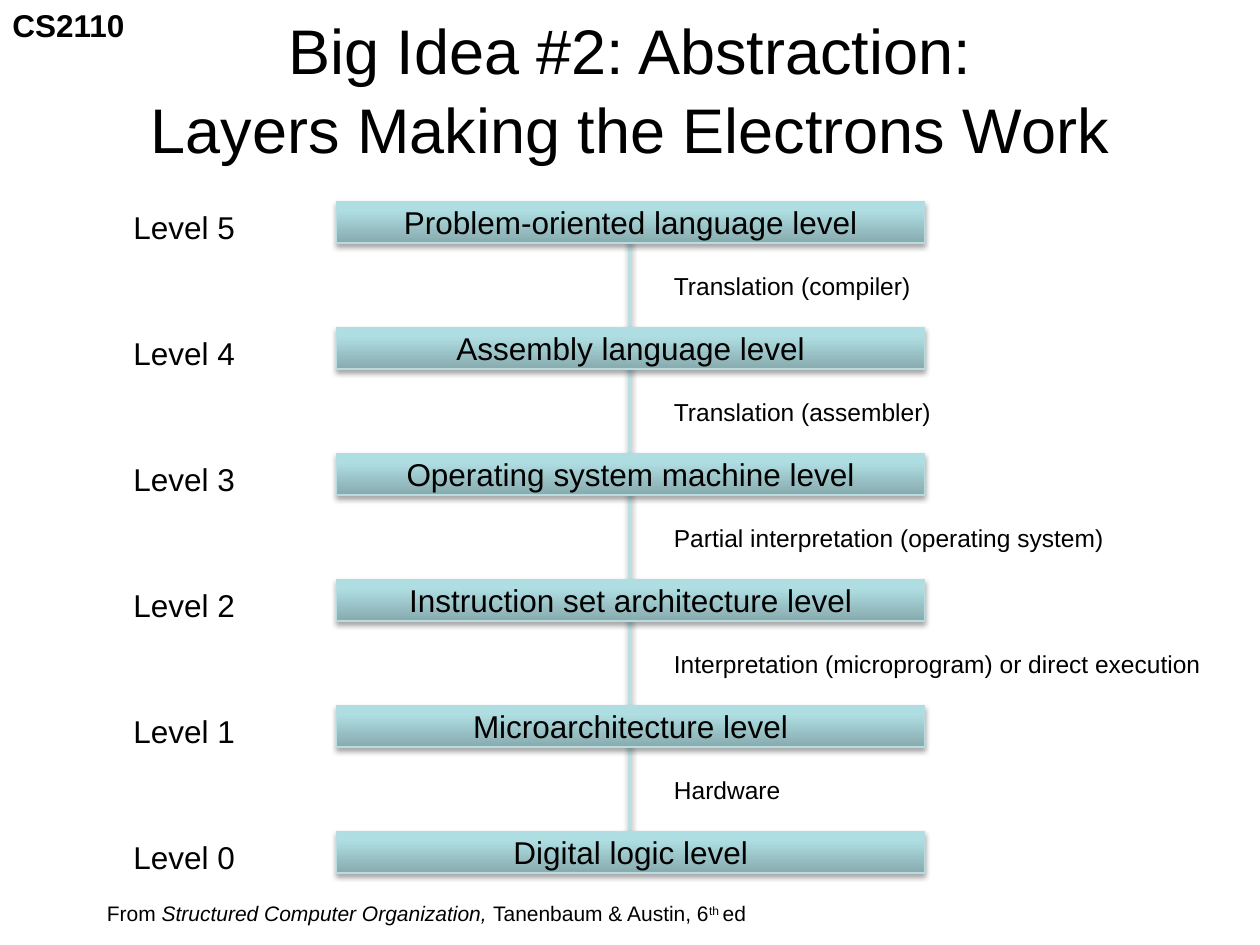
from dataclasses import dataclass
from typing import NamedTuple

from lxml import etree
from pptx import Presentation
from pptx import util as u
from pptx.dml.color import RGBColor
from pptx.enum import shapes, text
from pptx.oxml import parse_xml

NS = "http://schemas.openxmlformats.org/drawingml/2006/main"


@dataclass(frozen=True)
class Theme:
    font: str = "Arial"
    ink: str = "000000"
    line: str = "BBE0E3"
    edge: str = "B6DCDF"
    stops: tuple = ((0, "87ABAE"), (80, "AFDEE2"), (100, "AFE0E4"))
    title: int = 36
    body: int = 18
    note: int = 14
    cite: int = 12


class Box(NamedTuple):
    left: float
    top: float
    width: float
    height: float

    def emu(self) -> list:
        return [u.Inches(v) for v in self]


class Run(NamedTuple):
    words: str
    style: dict = {}
    raised: bool = False


class Level(NamedTuple):
    name: str
    step: str = ""  # how it is carried out by the level below
    room: float = 4.58


LOOK = Theme()
WIDE, HIGH = 10, 7.5

# Grid: one row per level, one inch apart
TOP, ROW = 1.6, 1
TAG_X, BAR_X, STEP_X = 0.96, 2.67, 5.25
BAR_W, BAR_H = 4.67, 0.33

LEVELS = [
    Level("Problem-oriented language level", "Translation (compiler)"),
    Level("Assembly language level", "Translation (assembler)"),
    Level("Operating system machine level",
          "Partial interpretation (operating system)", 4.85),
    Level("Instruction set architecture level",
          "Interpretation (microprogram) or direct execution", 5.08),
    Level("Microarchitecture level", "Hardware"),
    Level("Digital logic level"),
]


def apply(item, style: dict) -> None:
    for key, value in style.items():
        setattr(item, key, value)


def write(shape, runs: list, size: int, frame: dict, para: dict) -> None:
    """Fill a shape with one paragraph of styled runs."""
    body = shape.text_frame
    apply(body, {"word_wrap": True, **frame})
    line = body.paragraphs[0]
    apply(line, para)
    for part in runs:
        for i, words in enumerate(part.words.split("\n")):
            if i:
                line.add_line_break()
            run = line.add_run()
            run.text = words
            apply(run.font, {"name": LOOK.font, "size": u.Pt(size), **part.style})
            run.font.color.rgb = RGBColor.from_string(LOOK.ink)
            if part.raised:
                run.font._element.set("baseline", "30000")


def label(slide, box: Box, runs: list, size: int,
          frame: dict = {}, para: dict = {}) -> None:
    write(slide.shapes.add_textbox(*box.emu()), runs, size, frame, para)


def shade(shape, alpha: int, dist: float) -> None:
    """Give a shape a soft shadow straight below it."""
    shape._element.spPr.append(parse_xml(
        f'<a:effectLst xmlns:a="{NS}"><a:outerShdw blurRad="{u.Pt(3.1)}" '
        f'dist="{u.Pt(dist)}" dir="5400000" rotWithShape="0">'
        f'<a:srgbClr val="{LOOK.ink}"><a:alpha val="{alpha * 1000}"/></a:srgbClr>'
        f'</a:outerShdw></a:effectLst>'))


def blend(shape) -> None:
    """Fill a shape with the theme gradient, from bottom to top."""
    shape.fill.gradient()
    grad = shape._element.spPr.find(f"{{{NS}}}gradFill")
    stops = grad.find(f"{{{NS}}}gsLst")
    for old in list(stops):
        stops.remove(old)
    for place, color in LOOK.stops:
        stop = etree.SubElement(stops, f"{{{NS}}}gs", pos=str(place * 1000))
        etree.SubElement(stop, f"{{{NS}}}srgbClr", val=color)
    grad.find(f"{{{NS}}}lin").set("ang", "16200000")


def edge(shape, color: str, width: float) -> None:
    shape.line.color.rgb = RGBColor.from_string(color)
    shape.line.width = u.Pt(width)


def spine(group) -> None:
    """Draw the line that joins all bars."""
    start = TOP + BAR_H / 2
    end = start + ROW * (len(LEVELS) - 1)
    mid = u.Inches(WIDE / 2)
    line = group.shapes.add_connector(
        shapes.MSO_CONNECTOR.STRAIGHT, mid, u.Inches(start), mid, u.Inches(end))
    edge(line, LOOK.line, 2)
    shade(line, 38, 1.6)


def bar(group, top: float, name: str) -> None:
    box = Box(BAR_X, top, BAR_W, BAR_H)
    rect = group.shapes.add_shape(shapes.MSO_SHAPE.RECTANGLE, *box.emu())
    blend(rect)
    edge(rect, LOOK.edge, 0.75)
    shade(rect, 35, 1.8)
    write(rect, [Run(name)], LOOK.body,
          {"vertical_anchor": text.MSO_ANCHOR.MIDDLE},
          {"alignment": text.PP_ALIGN.CENTER})


def main() -> None:
    deck = Presentation()
    apply(deck, {"slide_width": u.Inches(WIDE), "slide_height": u.Inches(HIGH)})
    slide = deck.slides.add_slide(deck.slide_layouts[6])

    # Course tag and title
    label(slide, Box(0, 0, 1.1, 0.4), [Run("CS2110", {"bold": True})],
          LOOK.body, {"word_wrap": False})
    label(slide, Box(WIDE * 0.05, 0.3, WIDE * 0.9, 0.78),
          [Run("Big Idea #2: Abstraction:\nLayers Making the Electrons Work")],
          LOOK.title, {"vertical_anchor": text.MSO_ANCHOR.MIDDLE},
          {"alignment": text.PP_ALIGN.CENTER, "line_spacing": 1.05})

    # Stack of levels, from the highest down
    stack = slide.shapes.add_group_shape()
    spine(stack)
    for i, level in enumerate(LEVELS):
        top = TOP + ROW * i
        bar(stack, top, level.name)
        label(slide, Box(TAG_X, top, 1.08, 0.4),
              [Run(f"Level {len(LEVELS) - 1 - i}")], LOOK.body)
        if level.step:
            label(slide, Box(STEP_X, top + ROW / 2, level.room, 0.34),
                  [Run(level.step)], LOOK.note)

    # Citation
    label(slide, Box(0.75, 7.1, 8.67, 0.3), [
        Run("From "),
        Run("Structured Computer Organization, ", {"italic": True}),
        Run("Tanenbaum & Austin, 6"),
        Run("th ", raised=True),
        Run("ed"),
    ], LOOK.cite)

    deck.save("out.pptx")


if __name__ == "__main__":
    main()
